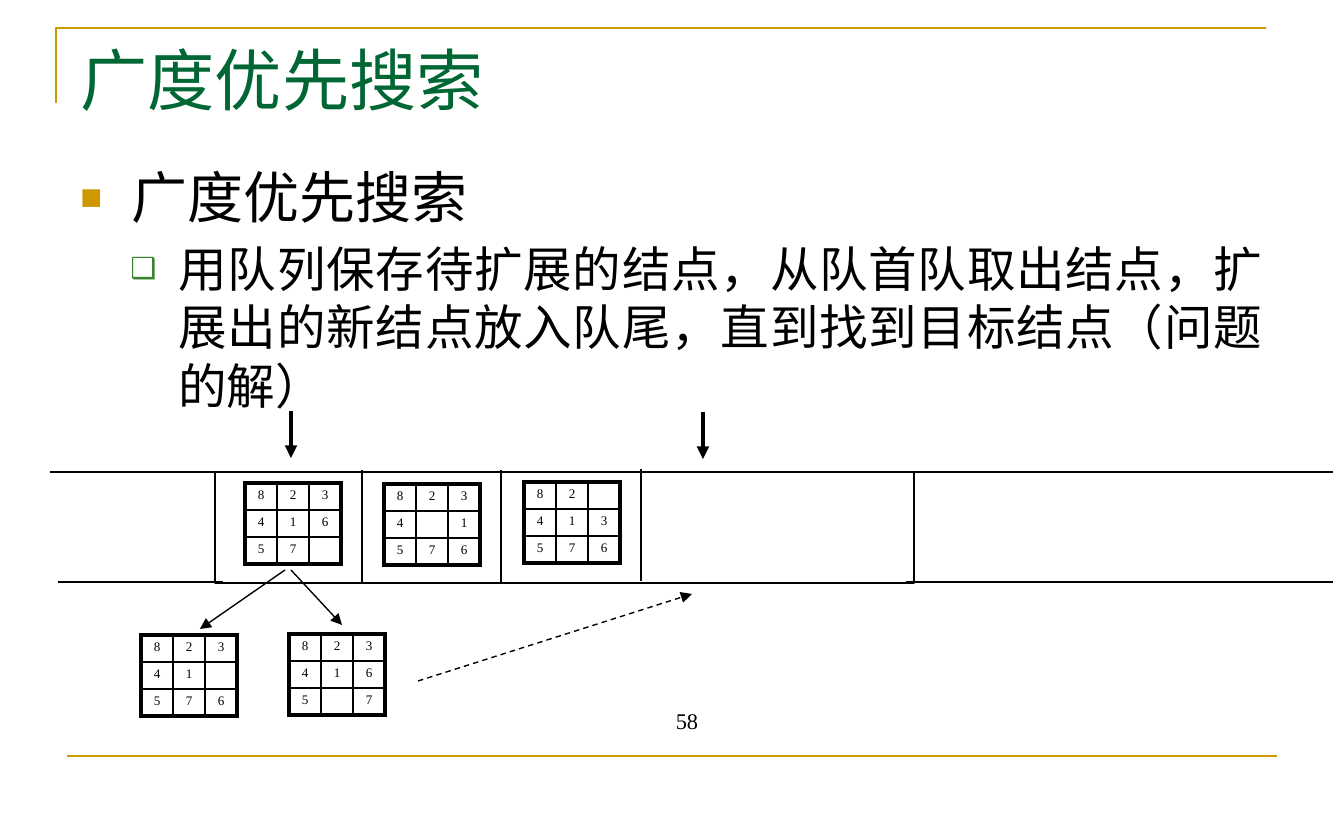
from lxml import etree
from pptx import Presentation
from pptx.dml.color import RGBColor
from pptx.enum.dml import MSO_LINE
from pptx.enum.shapes import MSO_CONNECTOR, MSO_SHAPE
from pptx.enum.text import MSO_ANCHOR, MSO_AUTO_SIZE, PP_ALIGN
from pptx.oxml.ns import qn
from pptx.util import Emu, Pt

LINE, RECT, DASH = MSO_CONNECTOR.STRAIGHT, MSO_SHAPE.RECTANGLE, MSO_LINE.DASH
TOP, MIDDLE, BOTTOM = MSO_ANCHOR.TOP, MSO_ANCHOR.MIDDLE, MSO_ANCHOR.BOTTOM
LEFT, CENTER, JUSTIFY = PP_ALIGN.LEFT, PP_ALIGN.CENTER, PP_ALIGN.JUSTIFY
NO_FIT = MSO_AUTO_SIZE.NONE

BLACK = RGBColor(0x00, 0x00, 0x00)
GOLD = RGBColor(0xCC, 0x99, 0x00)
GREEN = RGBColor(0x00, 0x66, 0x33)
LEAF = RGBColor(0x3B, 0x81, 0x2F)
SERIF, SANS = "Times New Roman", "Arial"
CELL_W, CELL_H = 32, 27

ITEMS = [
    ("广度优先搜索", 30, "■", GOLD, 65, 51, 51, 0),
    ("用队列保存待扩展的结点，从队首队取出结点，扩展出的新结点放入队尾，直到找到目标结点（问题的解）",
     26, "❑", LEAF, 60, 98, 48, 5),
]
BOARDS = [
    (245, 483, ("823", "416", "57 ")),
    (384, 484, ("823", "4 1", "576")),
    (524, 482, ("82 ", "413", "576")),
    (141, 635, ("823", "41 ", "576")),
    (289, 634, ("823", "416", "5 7")),
]
WALLS = [
    (218, 472, 50, 472), (223, 582, 58, 582),
    (362, 470, 362, 582), (501, 470, 501, 583), (641, 469, 641, 581),
    (913, 472, 1333, 472), (906, 582, 1333, 582),
]
ARROWS = [
    (291, 411, 291, 458, 2.25, None), (703, 412, 703, 459, 2.25, None),
    (285, 570, 200, 629, 0.75, None), (291, 570, 342, 625, 0.75, None),
    (418, 681, 692, 594, 0.75, DASH),
]


def px(n):
    """Turn px into EMU."""
    return Emu(round(n * 914400 / 134.4))


def place(shape, x, y, w, h):
    """Move and size a shape."""
    shape.left, shape.top, shape.width, shape.height = map(px, (x, y, w, h))


def style(par, size, face, color):
    """Format the runs of a paragraph."""
    for run in par.runs:
        font = run.font
        font.size, font.name, font.color.rgb = Pt(size), face, color


def frame(shape, anchor):
    """Set up the text frame of a shape and return it."""
    text = shape.text_frame
    text.word_wrap, text.auto_size, text.vertical_anchor = True, NO_FIT, anchor
    return text


def bullet(par, mark, color, size, left, hang):
    """Give a paragraph a bullet and a hanging indent."""
    props = par._p.get_or_add_pPr()
    props.set("marL", str(px(left)))
    props.set("indent", str(-px(hang)))
    tint = etree.SubElement(props, qn("a:buClr"))
    etree.SubElement(tint, qn("a:srgbClr"), val=str(color))
    etree.SubElement(props, qn("a:buSzPct"), val=str(size * 1000))
    etree.SubElement(props, qn("a:buFont"), typeface=SANS)
    etree.SubElement(props, qn("a:buChar"), char=mark)


def add_title(slide):
    """Fill the title placeholder."""
    title = slide.shapes.title
    place(title, 67, 34, 1210, 90)
    text = frame(title, MIDDLE)
    text.text = "广度优先搜索"
    par = text.paragraphs[0]
    par.alignment = LEFT
    style(par, 36, SERIF, GREEN)


def add_body(slide):
    """Fill the body placeholder with the two-level list."""
    body = slide.placeholders[1]
    place(body, 67, 156, 1210, 595)
    text = frame(body, TOP)
    text.text = "\n".join(item[0] for item in ITEMS)
    for level, (par, item) in enumerate(zip(text.paragraphs, ITEMS)):
        _, size, mark, color, scale, left, hang, gap = item
        par.level, par.alignment = level, JUSTIFY
        par.space_before = Pt(gap)
        bullet(par, mark, color, scale, left, hang)
        style(par, size, SANS, BLACK)


def add_line(slide, x1, y1, x2, y2, width=0.75, color=BLACK, dash=None, head=False):
    """Draw a straight line, with an arrowhead if asked."""
    line = slide.shapes.add_connector(LINE, px(x1), px(y1), px(x2), px(y2))
    line.line.width, line.line.color.rgb = Pt(width), color
    if dash:
        line.line.dash_style = dash
    if head:
        etree.SubElement(line.line._ln, qn("a:tailEnd"), type="triangle")
    etree.SubElement(line._element.spPr, qn("a:effectLst"))


def add_frame(slide):
    """Draw the gold corner and the gold foot rule."""
    pen = slide.shapes.build_freeform(px(56), px(103))
    pen.add_line_segments([(px(56), px(28)), (px(1266), px(28))], close=False)
    edge = pen.convert_to_shape()
    edge.shadow.inherit = False
    edge.fill.background()
    edge.line.width, edge.line.color.rgb = Pt(1.5), GOLD
    add_line(slide, 67, 756, 1277, 756, 1.5, GOLD)


def add_number(slide):
    """Write the page number."""
    box = slide.shapes.add_textbox(px(474), px(685), px(426), px(56))
    text = frame(box, BOTTOM)
    text.text = "58"
    par = text.paragraphs[0]
    par.alignment = CENTER
    style(par, 12, SERIF, BLACK)


def add_queue(slide):
    """Draw the queue outline and its walls."""
    box = slide.shapes.add_shape(RECT, px(215), px(472), px(699), px(111))
    box.shadow.inherit = False
    box.fill.background()
    box.line.width, box.line.color.rgb = Pt(0.75), BLACK
    for wall in WALLS:
        add_line(slide, *wall)


def border(cell, row, col):
    """Draw thick outer and thin inner borders on a cell."""
    props = cell._tc.get_or_add_tcPr()
    outer = (col == 0, col == 2, row == 0, row == 2)
    for i, (side, thick) in enumerate(zip("LRTB", outer)):
        line = etree.Element(qn("a:ln" + side), w=str(Pt(2.25 if thick else 1)))
        fill = etree.SubElement(line, qn("a:solidFill"))
        etree.SubElement(fill, qn("a:srgbClr"), val=str(BLACK))
        props.insert(i, line)


def add_board(slide, x, y, rows):
    """Add one eight-puzzle board as a table."""
    table = slide.shapes.add_table(
        3, 3, px(x), px(y), px(3 * CELL_W), px(3 * CELL_H)).table
    table.first_row = table.horz_banding = False
    for col in table.columns:
        col.width = px(CELL_W)
    for r, digits in enumerate(rows):
        table.rows[r].height = px(CELL_H)
        for c, digit in enumerate(digits):
            cell = table.cell(r, c)
            cell.margin_left = cell.margin_right = px(13)
            cell.margin_top = cell.margin_bottom = px(5)
            cell.fill.background()
            border(cell, r, c)
            cell.text_frame.text = digit.strip()
            par = cell.text_frame.paragraphs[0]
            par._p.get_or_add_endParaRPr().set("sz", "700")
            style(par, 7, SERIF, BLACK)


def main():
    """Build the slide and save it."""
    deck = Presentation()
    deck.slide_width, deck.slide_height = px(1344), px(840)
    slide = deck.slides.add_slide(deck.slide_layouts[1])
    add_frame(slide)
    add_number(slide)
    add_title(slide)
    add_body(slide)
    add_queue(slide)
    for board in BOARDS:
        add_board(slide, *board)
    for *ends, width, dash in ARROWS:
        add_line(slide, *ends, width, dash=dash, head=True)
    deck.save("out.pptx")


if __name__ == "__main__":
    main()
